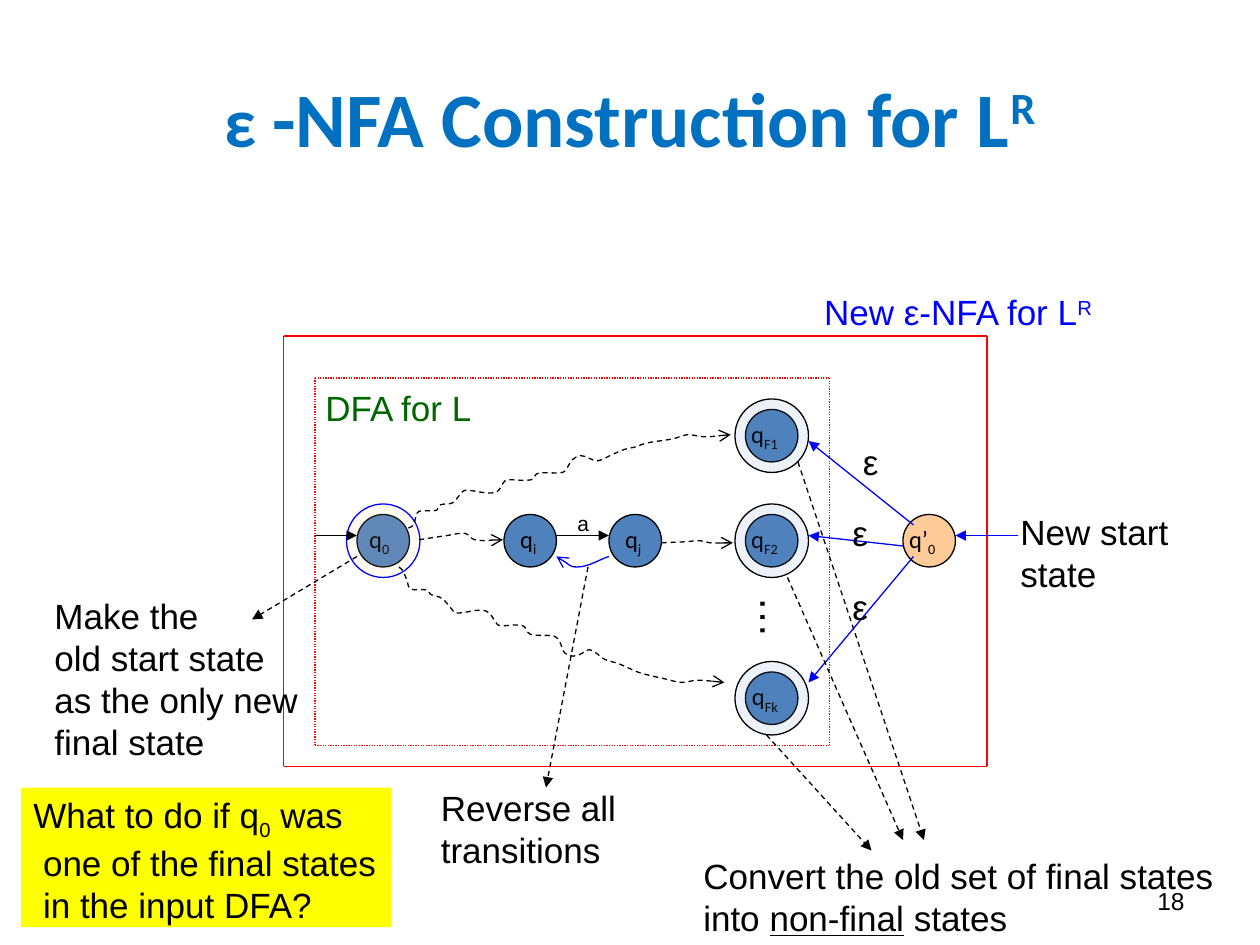
import math
from typing import NamedTuple, Optional

import pptx
import pptx.dml.color
import pptx.enum.dml
import pptx.enum.shapes
import pptx.enum.text
import pptx.oxml.ns
import pptx.util
from lxml import etree

PX = 7620  # EMU in one px, 120 px to the inch
RGB = pptx.dml.color.RGBColor
BLACK = RGB(0x00, 0x00, 0x00)
BLUE = RGB(0x00, 0x00, 0xFF)
RED = RGB(0xFF, 0x00, 0x00)
GREEN = RGB(0x00, 0x66, 0x00)
YELLOW = RGB(0xFF, 0xFF, 0x00)
TITLE_BLUE = RGB(0x00, 0x70, 0xC0)
STATE_BLUE = RGB(0x4F, 0x81, 0xBD)
PEACH = RGB(0xFF, 0xCC, 0x99)
DASH = pptx.enum.dml.MSO_LINE.DASH
DOT = pptx.enum.dml.MSO_LINE.ROUND_DOT
LEFT = pptx.enum.text.PP_ALIGN.LEFT
CENTER = pptx.enum.text.PP_ALIGN.CENTER
RIGHT = pptx.enum.text.PP_ALIGN.RIGHT
MIDDLE = pptx.enum.text.MSO_ANCHOR.MIDDLE
TOP = pptx.enum.text.MSO_ANCHOR.TOP
OVAL = pptx.enum.shapes.MSO_SHAPE.OVAL
STRAIGHT = pptx.enum.shapes.MSO_CONNECTOR.STRAIGHT
qn = pptx.oxml.ns.qn


class Run(NamedTuple):
    text: str
    baseline: int = 0  # percent of the text size
    underline: bool = False
    size: Optional[int] = None


class Label(NamedTuple):
    box: tuple  # left, top, width, height
    lines: list
    size: int = 20
    color: RGB = BLACK
    font: str = "Arial"
    bold: bool = False
    align: int = LEFT
    anchor: int = TOP
    fill: Optional[RGB] = None
    rotation: int = 0


class State(NamedTuple):
    center: tuple
    name: str
    index: str
    fill: RGB = STATE_BLUE
    halo: Optional[RGB] = None
    halo_line: RGB = BLACK


class Arrow(NamedTuple):
    start: tuple
    end: tuple
    color: RGB = BLACK
    dash: Optional[int] = None


class Curve(NamedTuple):
    points: list
    color: RGB = BLACK
    dash: Optional[int] = DASH


STATES = [
    State((365, 515), "q", "0", halo=PEACH, halo_line=BLUE),
    State((735, 415), "q", "F1", halo=STATE_BLUE),
    State((735, 515), "q", "F2", halo=STATE_BLUE),
    State((735, 665), "q", "Fk", halo=STATE_BLUE),
    State((505, 515), "q", "i"),
    State((605, 515), "q", "j"),
    State((885, 515), "q’", "0", fill=PEACH),
]
ARROWS = [
    Arrow((530, 510), (580, 510)),
    Arrow((300, 510), (340, 510)),
    Arrow((870, 500), (770, 420), BLUE),
    Arrow((860, 520), (770, 510), BLUE),
    Arrow((870, 530), (770, 650), BLUE),
    Arrow((970, 510), (910, 510), BLUE),
    Arrow((560, 540), (520, 750), dash=DASH),
    Arrow((750, 550), (860, 800), dash=DASH),
    Arrow((760, 440), (880, 800), dash=DASH),
    Arrow((730, 700), (830, 810), dash=DASH),
    Arrow((340, 530), (240, 590), dash=DASH),
]
CURVES = [
    Curve([(389, 503), (394, 500), (396, 492), (399, 487), (416, 486), (419, 481), (431, 479),
           (439, 470), (443, 467), (472, 469), (481, 458), (486, 457), (506, 457), (512, 451),
           (536, 450), (540, 446), (545, 438), (553, 434), (560, 436), (569, 439), (583, 433),
           (595, 428), (604, 426), (616, 422), (641, 418), (655, 414), (670, 416), (696, 414)]),
    Curve([(380, 540), (384, 544), (388, 554), (391, 561), (407, 562), (410, 566), (421, 570),
           (431, 581), (434, 584), (463, 582), (474, 595), (478, 596), (498, 596), (505, 604),
           (528, 606), (533, 611), (538, 622), (546, 625), (553, 623), (562, 619), (576, 628),
           (589, 632), (598, 636), (610, 641), (635, 647), (649, 650), (664, 648), (690, 650)]),
    Curve([(630, 517), (653, 516), (667, 515), (676, 517), (698, 517)]),
    Curve([(399, 514), (426, 510), (443, 508), (452, 514), (479, 514)]),
    Curve([(580, 530), (550, 540), (530, 530)], BLUE, None),
]
LABELS = [
    Label((860, 834, 280, 48), [[Run("18")]], 14, align=RIGHT, anchor=MIDDLE),
    Label((60, 36, 1080, 150),
          [[Run("ε ", size=40), Run("-NFA Construction for L"), Run("R", 30)]],
          44, TITLE_BLUE, "Calibri", True, CENTER, MIDDLE),
    Label((704, 562, 72, 60), [[Run("…")]], 24, rotation=90),
    Label((538, 480, 35, 36), [[Run("a")]], 12),
    Label((298, 362, 180, 52), [[Run("DFA for L")]], color=GREEN),
    Label((773, 271, 300, 52), [[Run("New ε-NFA for L"), Run("R", 30)]], color=BLUE),
    Label((960, 480, 180, 92), [[Run("New start")], [Run("state")]]),
    *[Label((x, y, 38, 52), [[Run("ε")]]) for x, y in [(810, 414), (800, 481), (800, 552)]],
    Label((40, 560, 268, 174), [[Run("Make the")], [Run("old start state")],
                                [Run("as the only new")], [Run("final state")]]),
    Label((408, 743, 352, 92), [[Run("Reverse all")], [Run("transitions")]]),
    Label((658, 808, 530, 92),
          [[Run("Convert the old set of final states")],
           [Run("into "), Run("non-final", underline=True), Run(" states")]]),
    Label((20, 750, 353, 133),
          [[Run("What to do if q"), Run("0", -25), Run(" was")],
           [Run(" one of the final states")], [Run(" in the input DFA?")]], fill=YELLOW),
]


def emu(*lengths: int) -> list:
    return [pptx.util.Emu(n * PX) for n in lengths]


def style_line(s, color: RGB, dash: Optional[int] = None, head: str = "") -> None:
    s.line.color.rgb = color
    s.line.width = pptx.util.Pt(0.75)
    if dash is not None:
        s.line.dash_style = dash
    if head:
        etree.SubElement(s.line._get_or_add_ln(), qn("a:tailEnd"), type=head)


def add_runs(p, runs: list, size: int, color: RGB, font: str, bold: bool = False) -> None:
    for run in runs:
        r = p.add_run()
        r.text = run.text
        r.font.size = pptx.util.Pt(run.size or size)
        r.font.name, r.font.bold = font, bold
        r.font.color.rgb = color
        if run.underline:
            r.font.underline = True
        if run.baseline:
            r._r.get_or_add_rPr().set("baseline", str(run.baseline * 1000))


def draw_label(shapes, label: Label) -> None:
    s = shapes.add_textbox(*emu(*label.box))
    s.rotation = label.rotation
    if label.fill is not None:
        s.fill.solid()
        s.fill.fore_color.rgb = label.fill
    tf = s.text_frame
    tf.word_wrap = True
    tf.vertical_anchor = label.anchor
    for i, runs in enumerate(label.lines):
        p = tf.add_paragraph() if i else tf.paragraphs[0]
        p.alignment = label.align
        add_runs(p, runs, label.size, label.color, label.font, label.bold)


def add_circle(shapes, center: tuple, size: int, fill: RGB, line: RGB):
    x, y = center
    s = shapes.add_shape(OVAL, *emu(x - size // 2, y - size // 2, size, size))
    s.shadow.inherit = False
    s.fill.solid()
    s.fill.fore_color.rgb = fill
    style_line(s, line)
    return s


def draw_state(shapes, state: State) -> None:
    s = add_circle(shapes, state.center, 50, state.fill, BLACK)
    tf = s.text_frame
    tf.word_wrap = False
    tf.vertical_anchor = MIDDLE
    p = tf.paragraphs[0]
    p.alignment = RIGHT
    add_runs(p, [Run(state.name), Run(state.index, -25)], 14, BLACK, "Calibri")
    if state.halo is not None:
        halo = add_circle(shapes, state.center, 70, state.halo, state.halo_line)
        color = halo._element.spPr.find(qn("a:solidFill"))[0]
        etree.SubElement(color, qn("a:alpha"), val="10000")


def draw_line(shapes, arrow: Arrow, head: str = "triangle") -> None:
    s = shapes.add_connector(STRAIGHT, *emu(*arrow.start, *arrow.end))
    style_line(s, arrow.color, arrow.dash, head)
    etree.SubElement(s._element.spPr, qn("a:effectLst"))


def draw_frame(shapes, left: int, top: int, right: int, bottom: int, dash=None) -> None:
    corners = [(left, top), (right, top), (right, bottom), (left, bottom)]
    for start, end in zip(corners, corners[1:] + corners[:1]):
        draw_line(shapes, Arrow(start, end, RED, dash), head="")


def draw_curve(shapes, curve: Curve) -> None:
    """Draw a smooth open line through the points, ending in an arrowhead."""
    pts = [(x * PX, y * PX) for x, y in curve.points]
    builder = shapes.build_freeform(*pts[0], scale=1.0)
    builder.add_line_segments(pts[1:], close=False)
    s = builder.convert_to_shape()
    s.shadow.inherit = False
    s.fill.background()
    style_line(s, curve.color, curve.dash, "arrow")
    left, top = min(x for x, _ in pts), min(y for _, y in pts)
    slopes = [math.atan2(b[1] - a[1], b[0] - a[0])
              for a, b in zip(pts[:1] + pts[:-1], pts[1:] + pts[-1:])]
    segments = list(s._element.iter(qn("a:lnTo")))
    for i, segment in enumerate(segments):
        a, b = pts[i], pts[i + 1]
        reach = math.dist(a, b) / 3
        out, back = slopes[i], slopes[i + 1]
        bezier = etree.Element(qn("a:cubicBezTo"))
        for x, y in [(a[0] + reach * math.cos(out), a[1] + reach * math.sin(out)),
                     (b[0] - reach * math.cos(back), b[1] - reach * math.sin(back)), b]:
            etree.SubElement(bezier, qn("a:pt"), x=str(round(x - left)), y=str(round(y - top)))
        segment.getparent().replace(segment, bezier)


def main() -> None:
    prs = pptx.Presentation()
    prs.slide_width, prs.slide_height = emu(1200, 900)
    shapes = prs.slides.add_slide(prs.slide_layouts[6]).shapes
    draw_frame(shapes, 300, 360, 790, 710, DOT)
    draw_frame(shapes, 270, 320, 940, 730)
    for draw, items in [(draw_state, STATES), (draw_curve, CURVES),
                        (draw_line, ARROWS), (draw_label, LABELS)]:
        for item in items:
            draw(shapes, item)
    prs.save("out.pptx")


if __name__ == "__main__":
    main()
